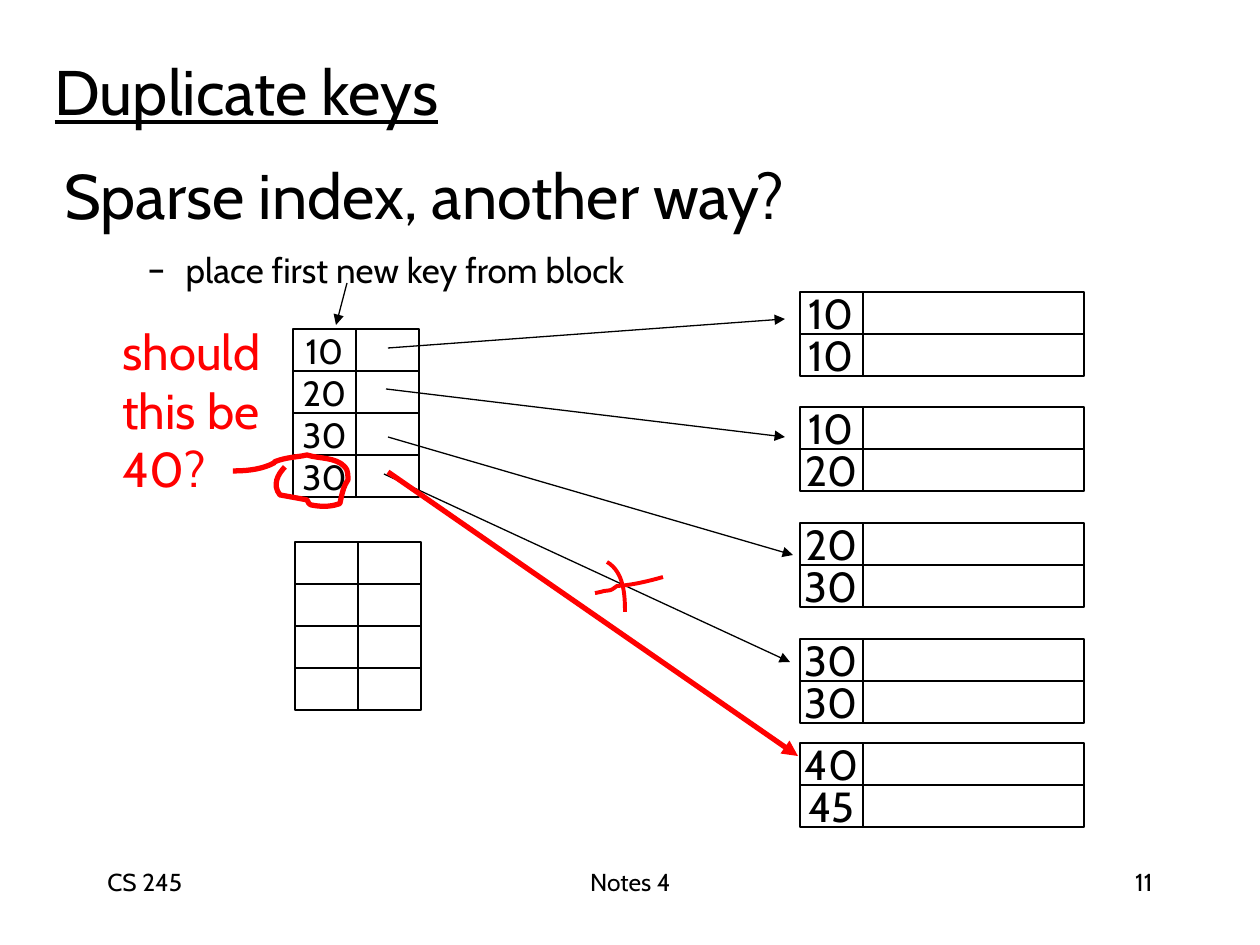
from lxml import etree
from pptx import Presentation
from pptx import util as u
from pptx.dml.color import RGBColor
from pptx.enum import shapes, text
from pptx.oxml import ns

PX = 914400 / 126
FONT = "Cabin"
BLACK, WHITE, RED = "000000", "FFFFFF", "FF0000"
LEFT, CENTER, RIGHT = text.PP_ALIGN.LEFT, text.PP_ALIGN.CENTER, text.PP_ALIGN.RIGHT
TOP, MIDDLE = text.MSO_ANCHOR.TOP, text.MSO_ANCHOR.MIDDLE

ROW_HEIGHT, KEY_WIDTH, DATA_WIDTH = 42, 63, 221

# Hand-drawn marks: start point, then three points for each Bezier curve
CIRCLE_AROUND_KEY = [
    (285, 467), (278, 474), (272, 485), (280, 495), (280, 495), (302, 499),
    (307, 500), (309, 503), (309, 505), (311, 505), (321, 507), (330, 507),
    (339, 504), (341, 504), (340, 500), (341, 499), (343, 490), (344, 486),
    (348, 480), (348, 475), (348, 470), (345, 467), (336, 457), (319, 459),
    (307, 455), (299, 457), (290, 457), (280, 460), (268, 464), (281, 460),
    (270, 465), (258, 470), (245, 471), (233, 471)]
CROSS_STROKES = [
    [(663, 577), (649, 581), (633, 585), (617, 586), (610, 591), (612, 590),
     (604, 591), (601, 592), (595, 593), (595, 593)],
    [(607, 562), (624, 572), (625, 595), (625, 612)]]


def px(length):
    return u.Emu(round(length * PX))


def color(value):
    return RGBColor.from_string(value)


def sub(parent, tag, **attributes):
    return etree.SubElement(parent, ns.qn(tag), attributes)


def place(shape, left, top, width, height):
    shape.left, shape.top = px(left), px(top)
    shape.width, shape.height = px(width), px(height)


def write(shape, content, size, align=LEFT, anchor=MIDDLE, ink=BLACK,
          wrap=True, underline=None):
    frame = shape.text_frame
    frame.text = content
    frame.word_wrap = wrap
    frame.auto_size = text.MSO_AUTO_SIZE.NONE
    frame.vertical_anchor = anchor
    for paragraph in frame.paragraphs:
        paragraph.alignment = align
        paragraph.space_before = u.Pt(0)
        for run in paragraph.runs:
            run.font.name, run.font.size = FONT, u.Pt(size)
            run.font.color.rgb = color(ink)
            run.font.underline = underline


def add_label(slide, box, content, size, **style):
    shape = slide.shapes.add_textbox(0, 0, 0, 0)
    place(shape, *box)
    write(shape, content, size, **style)


def add_dash_bullet(paragraph, margin, indent):
    properties = paragraph._p.get_or_add_pPr()
    properties.set("marL", str(px(margin)))
    properties.set("indent", str(px(indent)))
    sub(sub(properties, "a:buClr"), "a:srgbClr", val=BLACK)
    sub(properties, "a:buFont", typeface=FONT)
    sub(properties, "a:buChar", char="–")


def add_cell(slide, box, content="", size=20):
    cell = slide.shapes.add_shape(shapes.MSO_SHAPE.RECTANGLE, *map(px, box))
    cell.shadow.inherit = False
    cell.fill.solid()
    cell.fill.fore_color.rgb = color(WHITE)
    cell.line.color.rgb = color(BLACK)
    cell.line.width = u.Pt(0.75)
    if content:
        write(cell, content, size, align=CENTER, wrap=False)


def add_block(slide, left, top, keys, data_width, size):
    """Stack rows made of a key cell and a data or pointer cell."""
    for row, key in enumerate(keys):
        y = top + row * ROW_HEIGHT
        add_cell(slide, (left, y, KEY_WIDTH, ROW_HEIGHT), key, size)
        add_cell(slide, (left + KEY_WIDTH, y, data_width, ROW_HEIGHT))


def add_arrow(slide, start, end, ink=BLACK, width=0.75):
    arrow = slide.shapes.add_connector(
        shapes.MSO_CONNECTOR.STRAIGHT, *map(px, start + end))
    arrow.line.color.rgb = color(ink)
    arrow.line.width = u.Pt(width)
    sub(arrow.line._get_or_add_ln(), "a:tailEnd", type="triangle")
    sub(arrow._element.spPr, "a:effectLst")


def bend_lines(shape):
    """Turn each three straight segments into one cubic Bezier curve."""
    outline = next(shape._element.iter(ns.qn("a:path")))
    lines = outline.findall(ns.qn("a:lnTo"))
    for first in range(0, len(lines), 3):
        curve = sub(outline, "a:cubicBezTo")
        for line in lines[first:first + 3]:
            curve.append(line[0])
            outline.remove(line)


def add_stroke(slide, points, width):
    builder = slide.shapes.build_freeform(*points[0], scale=PX)
    builder.add_line_segments(points[1:], close=False)
    stroke = builder.convert_to_shape()
    bend_lines(stroke)
    stroke.shadow.inherit = False
    stroke.fill.background()
    stroke.line.color.rgb = color(RED)
    stroke.line.width = u.Pt(width)


def main():
    presentation = Presentation()
    presentation.slide_width, presentation.slide_height = px(1260), px(945)
    slide = presentation.slides.add_slide(presentation.slide_layouts[1])
    title, body = slide.placeholders

    # Data blocks and index blocks
    records = [(292, ("10", "10")), (407, ("10", "20")), (523, ("20", "30")),
               (639, ("30", "30")), (743, ("40", "45"))]
    for top, keys in records:
        add_block(slide, 800, top, keys, DATA_WIDTH, 24)
    add_block(slide, 293, 329, ("10", "20", "30", "30"), KEY_WIDTH, 20)
    add_block(slide, 295, 542, [""] * 4, KEY_WIDTH, 20)

    # Title, heading and list
    place(title, 42, 42, 463, 97)
    write(title, "Duplicate keys", 36, underline=True)
    add_label(slide, (52, 116, 1071, 157), "Sparse index, another way?", 36)
    place(body, 115, 241, 541, 56)
    write(body, "place first new key from block", 20)
    add_dash_bullet(body.text_frame.paragraphs[0], 58, -38)

    # Pointers from the index to the data
    for start, end in [((388, 348), (785, 319)), ((386, 389), (785, 437)),
                       ((388, 437), (793, 555)), ((384, 474), (790, 662)),
                       ((347, 283), (336, 325))]:
        add_arrow(slide, start, end)

    # Red correction
    add_stroke(slide, CIRCLE_AROUND_KEY, 3)
    add_label(slide, (110, 315, 181, 189), "should\nthis be\n40?", 28, ink=RED)
    for stroke in CROSS_STROKES:
        add_stroke(slide, stroke, 2.25)
    add_arrow(slide, (388, 472), (798, 756), RED, 3)

    # Footer
    for left, width, content, align in [(95, 262, "CS 245", LEFT),
                                        (431, 399, "Notes 4", CENTER),
                                        (903, 262, "11", RIGHT)]:
        add_label(slide, (left, 861, width, 63), content, 14,
                  align=align, anchor=TOP)

    presentation.save("out.pptx")


if __name__ == "__main__":
    main()
